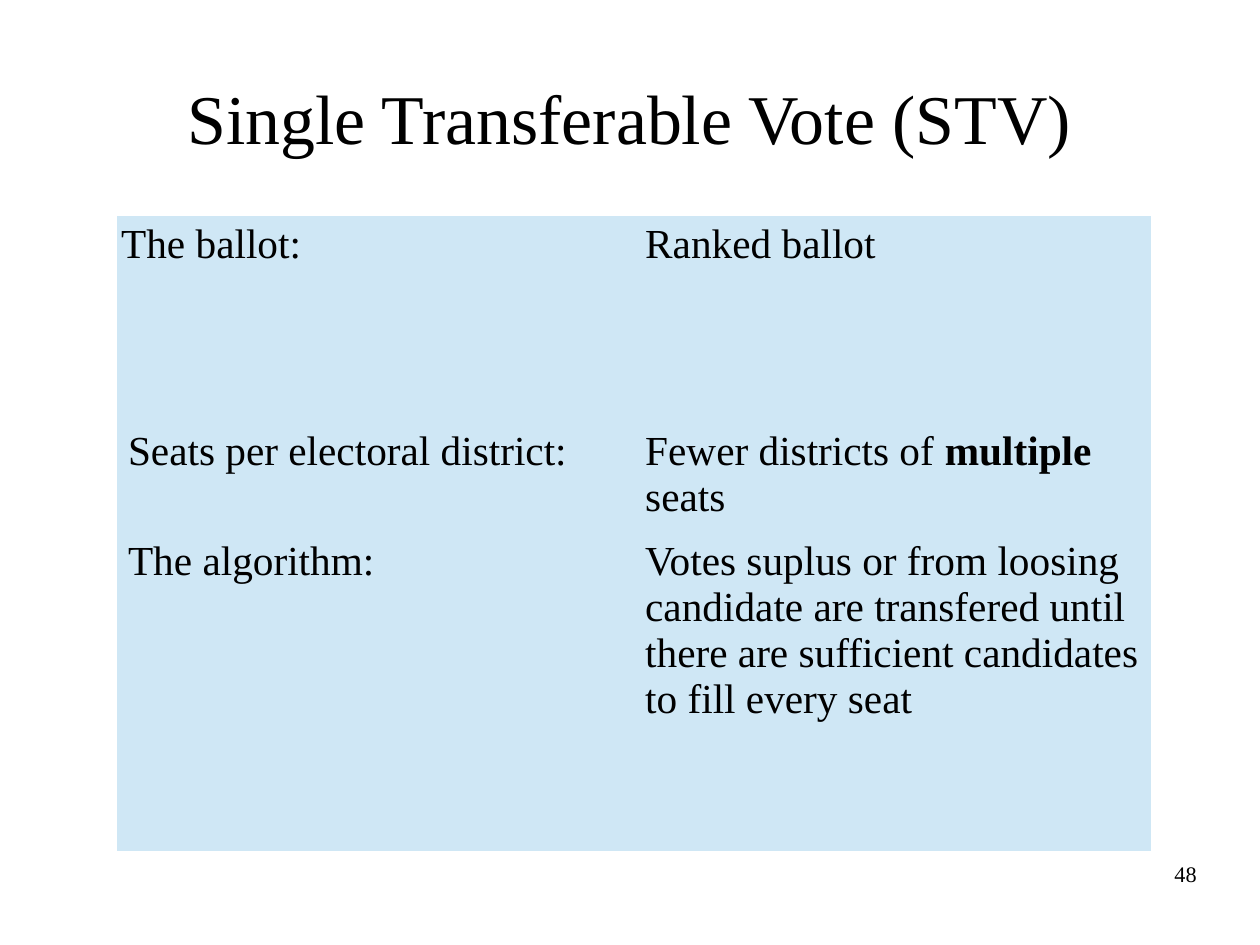
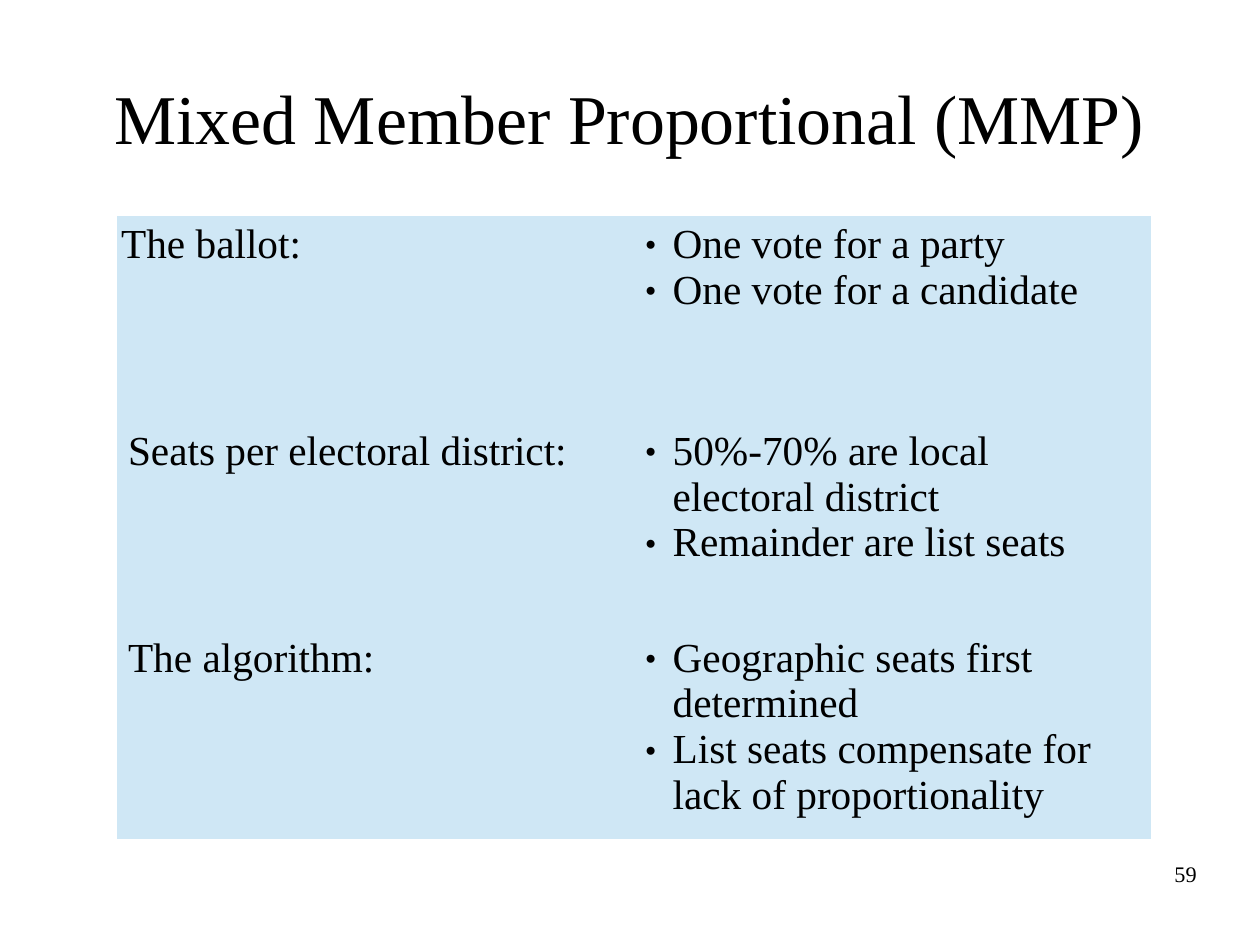
from dataclasses import dataclass

from lxml import etree
from pptx import Presentation
from pptx.dml.color import RGBColor
from pptx.enum.text import MSO_ANCHOR, PP_ALIGN
from pptx.oxml.ns import qn
from pptx.util import Inches, Pt

BLACK = RGBColor(0x00, 0x00, 0x00)
PALE_BLUE = RGBColor(0xCF, 0xE7, 0xF5)
FONT = "Times New Roman"
TITLE_SIZE, TABLE_SIZE, NUMBER_SIZE = 44, 26, 14
CENTER, RIGHT = PP_ALIGN.CENTER, PP_ALIGN.RIGHT
TOP, MIDDLE = MSO_ANCHOR.TOP, MSO_ANCHOR.MIDDLE
PLAIN_TABLE_STYLE = "{2D5ABB26-0587-4C30-8999-92F81FD0307C}"
CM_PER_INCH = 2.54
PAGE_WIDTH, PAGE_HEIGHT = 28 / CM_PER_INCH, 21 / CM_PER_INCH
TABLE_WIDTH = 9.05
BULLET_INDENT = 0.24
LABELS = ("The ballot:", "Seats per electoral district:", "The algorithm:")


@dataclass(frozen=True)
class Span:
    text: str
    bold: bool = False


@dataclass(frozen=True)
class Answer:
    height: float
    paragraphs: tuple[tuple[Span, ...], ...]
    bulleted: bool = False


@dataclass(frozen=True)
class VotingSystem:
    title: str
    number: str
    answers: tuple[Answer, Answer, Answer]


def bullets(*lines: str) -> Answer:
    return Answer(1.81, tuple((Span(line),) for line in lines), bulleted=True)


SYSTEMS = (
    VotingSystem("Single Transferable Vote (STV)", "48", (
        Answer(1.81, ((Span("Ranked ballot"),),)),
        Answer(0.9, ((Span("Fewer districts of "), Span("multiple", bold=True),
                      Span(" seats")),)),
        Answer(2.78, ((Span("Votes suplus or from loosing candidate are transfered "
                            "until there are sufficient candidates to fill every seat"),),)),
    )),
    VotingSystem("Mixed Member Proportional (MMP)", "59", (
        bullets("One vote for a party", "One vote for a candidate"),
        bullets("50%-70% are local electoral district", "Remainder are list seats"),
        bullets("Geographic seats first determined",
                "List seats compensate for lack of proportionality"),
    )),
)


def add_span(para, span: Span, size: float) -> None:
    run = para.add_run()
    run.text = span.text
    run.font.name = FONT
    run.font.size = Pt(size)
    run.font.bold = span.bold
    run.font.color.rgb = BLACK


def add_bullet(para) -> None:
    """Give the paragraph a small round bullet and a hanging indent."""
    indent = Inches(BULLET_INDENT)
    properties = para._p.get_or_add_pPr()
    properties.set("marL", str(indent))
    properties.set("indent", str(-indent))
    color = etree.SubElement(properties, qn("a:buClr"))
    etree.SubElement(color, qn("a:srgbClr"), val=str(BLACK))
    etree.SubElement(properties, qn("a:buSzPct"), val="45000")
    etree.SubElement(properties, qn("a:buFont"), typeface=FONT)
    etree.SubElement(properties, qn("a:buChar"), char="●")


def add_text_box(page, left: float, top: float, width: float, height: float,
                 text: str, size: float, align: PP_ALIGN, anchor: MSO_ANCHOR) -> None:
    box = page.shapes.add_textbox(Inches(left), Inches(top), Inches(width), Inches(height))
    frame = box.text_frame
    frame.word_wrap = True
    frame.vertical_anchor = anchor
    frame.margin_left = frame.margin_right = frame.margin_top = frame.margin_bottom = 0
    para = frame.paragraphs[0]
    para.alignment = align
    add_span(para, Span(text), size)


def fill_cell(cell, paragraphs: tuple[tuple[Span, ...], ...],
              bulleted: bool = False, side_margin: float = 0.1) -> None:
    cell.fill.solid()
    cell.fill.fore_color.rgb = PALE_BLUE
    cell.margin_left = cell.margin_right = Inches(side_margin)
    cell.margin_top = cell.margin_bottom = Inches(0.05)
    frame = cell.text_frame
    for index, spans in enumerate(paragraphs):
        para = frame.add_paragraph() if index else frame.paragraphs[0]
        if bulleted:
            add_bullet(para)
        for span in spans:
            add_span(para, span, TABLE_SIZE)


def add_answer_table(page, answers: tuple[Answer, ...]) -> None:
    height = sum(answer.height for answer in answers)
    holder = page.shapes.add_table(len(answers), 2, Inches(1.02), Inches(1.89),
                                   Inches(TABLE_WIDTH), Inches(height))
    for style in holder.element.iter(qn("a:tableStyleId")):
        style.text = PLAIN_TABLE_STYLE
    table = holder.table
    table.first_row = table.horz_banding = False
    for index, (label, answer) in enumerate(zip(LABELS, answers)):
        table.rows[index].height = Inches(answer.height)
        fill_cell(table.cell(index, 0), ((Span(label),),),
                  side_margin=0.1 if index else 0.04)
        fill_cell(table.cell(index, 1), answer.paragraphs, answer.bulleted)


def add_system_page(deck, system: VotingSystem) -> None:
    page = deck.slides.add_slide(deck.slide_layouts[6])
    add_text_box(page, 0.55, 0.38, 9.92, 1.28, system.title, TITLE_SIZE, CENTER, MIDDLE)
    add_answer_table(page, system.answers)
    add_text_box(page, 7.9, 7.53, 2.57, 0.57, system.number, NUMBER_SIZE, RIGHT, TOP)


def main() -> None:
    deck = Presentation()
    deck.slide_width, deck.slide_height = Inches(PAGE_WIDTH), Inches(PAGE_HEIGHT)
    for system in SYSTEMS:
        add_system_page(deck, system)
    deck.save("out.pptx")


if __name__ == "__main__":
    main()
